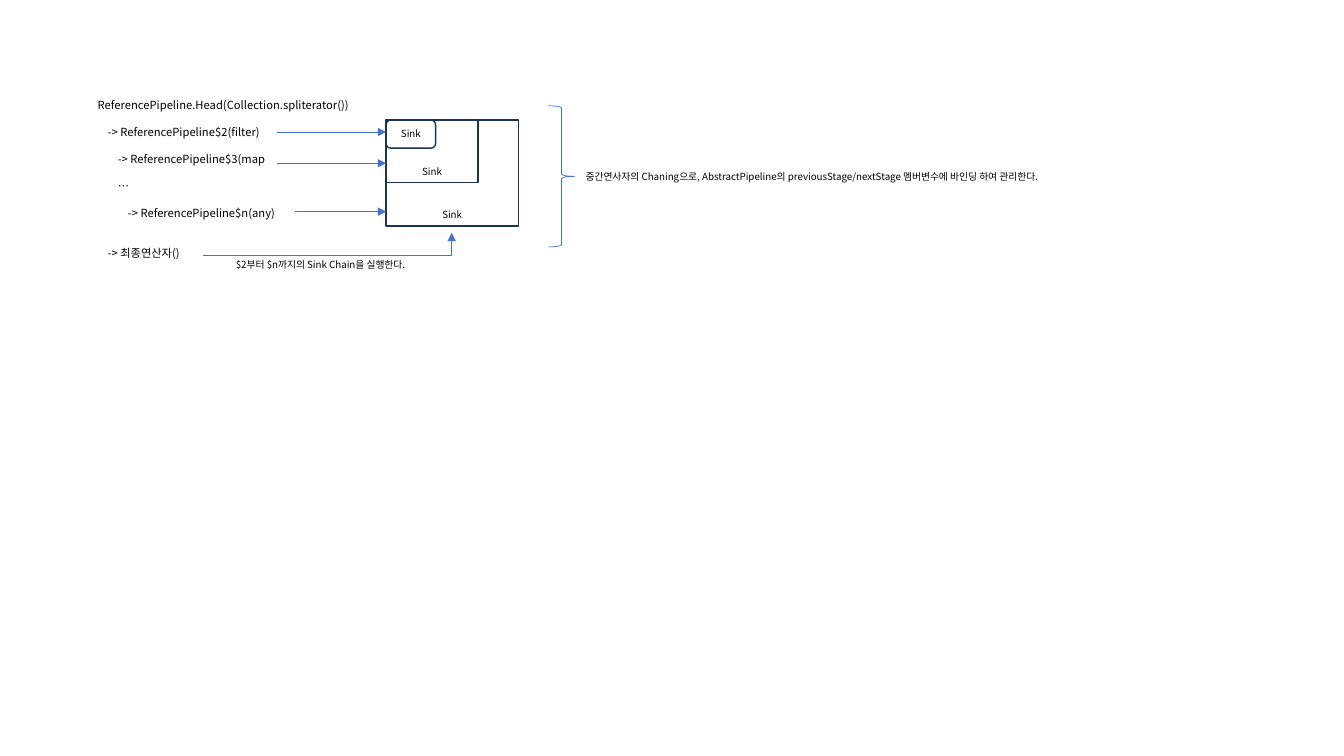
from lxml.etree import SubElement
from pptx import Presentation
from pptx.dml.color import RGBColor
from pptx.enum.shapes import MSO_CONNECTOR as Connector, MSO_SHAPE as Shape
from pptx.enum.text import MSO_ANCHOR as Anchor, MSO_AUTO_SIZE as AutoSize, PP_ALIGN as Align
from pptx.oxml.ns import qn
from pptx.util import Inches, Pt

FONT = "Noto Sans CJK KR"
COLORS = {"text": "000000", "box": "1E3256", "arrow": "4472C4"}
CELL = 0.1  # inches per grid column and row
LINE_HEIGHT = 9.6

# text, indent level, empty lines above
STAGES = [
    ("ReferencePipeline.Head(Collection.spliterator())", 0, 0),
    ("-> ReferencePipeline$2(filter)", 1, 1),
    ("-> ReferencePipeline$3(map", 2, 1),
    ("…", 2, 1),
    ("-> ReferencePipeline$n(any)", 3, 1),
    ("-> 최종연산자()", 1, 2),
]
SINK_LEFT, SINK_TOP = 38.3, 11.9
# columns, rows, corner rounding, text anchor
SINKS = [
    (4.9, 2.8, 0.167, Anchor.MIDDLE),
    (9.1, 6.2, 0, Anchor.BOTTOM),
    (13.1, 10.5, 0, Anchor.BOTTOM),
]
# start column, row
STAGE_ARROWS = [(27.5, 13.1), (27.5, 16.2), (29.3, 21)]


def grid(*cells):
    return [Inches(cell * CELL) for cell in cells]


def color(name):
    return RGBColor.from_string(COLORS[name])


def format_text(paragraph, size):
    for run in paragraph.runs:
        run.font.size = Pt(size)
        run.font.name = FONT
        run.font.color.rgb = color("text")
        SubElement(run.font._element, qn("a:ea"), typeface=FONT)


def format_line(line, name, width):
    line.color.rgb = color(name)
    line.width = Pt(width)


def add_text(slide, text, cells, size, wrap=True):
    frame = slide.shapes.add_textbox(*grid(*cells)).text_frame
    frame.word_wrap = wrap
    frame.auto_size = AutoSize.SHAPE_TO_FIT_TEXT
    frame.text = text
    for paragraph in frame.paragraphs:
        format_text(paragraph, size)
    return frame


def add_stage_list(slide):
    text = "\n".join(stage for stage, _, _ in STAGES)
    frame = add_text(slide, text, (8.7, 9.3, 34.5, 17.2), 8)
    for paragraph, (_, level, gap) in zip(frame.paragraphs, STAGES):
        paragraph.line_spacing = Pt(LINE_HEIGHT)
        paragraph.space_before = Pt(gap * LINE_HEIGHT)
        paragraph._p.get_or_add_pPr().set("marL", str(grid(level)[0]))


def add_outline(slide, kind, cells, line_color, width):
    shape = slide.shapes.add_shape(kind, *grid(*cells))
    shape.shadow.inherit = False
    shape.fill.background()
    format_line(shape.line, line_color, width)
    return shape


def add_sink(slide, columns, rows, rounding, anchor):
    cells = (SINK_LEFT, SINK_TOP, columns, rows)
    shape = add_outline(slide, Shape.ROUNDED_RECTANGLE, cells, "box", 1)
    shape.adjustments[0] = rounding
    frame = shape.text_frame
    frame.text = "Sink"
    frame.vertical_anchor = anchor
    paragraph = frame.paragraphs[0]
    paragraph.alignment = Align.CENTER
    format_text(paragraph, 7)


def add_arrow(slide, start, end, kind=Connector.STRAIGHT):
    arrow = slide.shapes.add_connector(kind, *grid(*start, *end))
    format_line(arrow.line, "arrow", 0.5)
    SubElement(arrow.line._get_or_add_ln(), qn("a:tailEnd"), type="triangle")
    properties = arrow._element.spPr
    SubElement(properties, qn("a:effectLst"))
    if kind == Connector.ELBOW:
        # a single corner instead of the default two
        properties.find(qn("a:prstGeom")).set("prst", "bentConnector2")


def main():
    presentation = Presentation()
    presentation.slide_width, presentation.slide_height = Inches(13.33), Inches(7.5)
    slide = presentation.slides.add_slide(presentation.slide_layouts[6])

    add_stage_list(slide)
    for sink in SINKS:
        add_sink(slide, *sink)
    for column, row in STAGE_ARROWS:
        add_arrow(slide, (column, row), (SINK_LEFT, row))
    add_outline(slide, Shape.RIGHT_BRACE, (54.4, 10.5, 2.6, 14), "arrow", 0.5)
    add_text(
        slide,
        "중간연사자의 Chaning으로, AbstractPipeline의 previousStage/nextStage 멤버변수에 바인딩 하여 관리한다.",
        (57.1, 16.4, 49.1, 2.2), 7, wrap=False,
    )
    add_arrow(slide, (20.1, 25.3), (44.8, 23.1), Connector.ELBOW)
    add_text(slide, "$2부터 $n까지의 Sink Chain을 실행한다.", (22.4, 25.2, 20.8, 2.2), 7)

    presentation.save("out.pptx")


if __name__ == "__main__":
    main()
